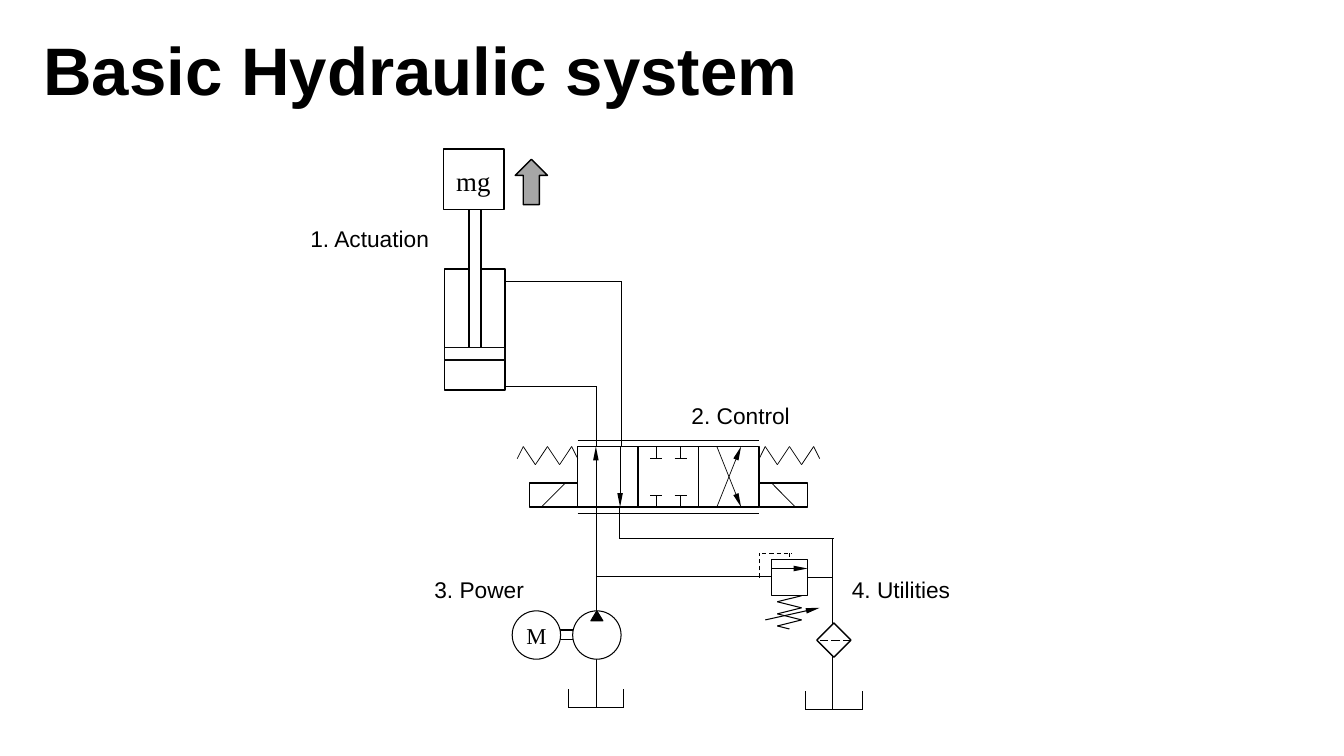
from dataclasses import dataclass
from itertools import pairwise

from lxml import etree
from pptx import Presentation
from pptx import util as u
from pptx.dml.color import RGBColor
from pptx.enum import dml, shapes, text
from pptx.oxml import ns

BLACK = RGBColor(0x00, 0x00, 0x00)
PISTON_EDGE = RGBColor(0x09, 0x09, 0x09)
WHITE = RGBColor(0xFF, 0xFF, 0xFF)
GRAY = RGBColor(0xA6, 0xA6, 0xA6)
CM_PER_INCH = 2.54
SANS = "Arial"
SERIF = "Times New Roman"
KIND = shapes.MSO_SHAPE
DASH = dml.MSO_LINE.DASH
LONG_DASH = dml.MSO_LINE.LONG_DASH


@dataclass
class Box:
    left: float
    top: float
    width: float
    height: float
    kind: KIND = KIND.RECTANGLE
    fill: RGBColor | None = WHITE
    edge: RGBColor = BLACK
    weight: float = 1
    rotation: float = 0
    caption: str = ""


@dataclass
class Pipe:
    points: list[tuple[float, float]]
    weight: float = 0.5
    arrow: bool = False
    dash: dml.MSO_LINE | None = None


@dataclass
class Label:
    wording: str
    left: float
    top: float
    width: float
    height: float = 0.37
    font: str = SANS
    size: float = 16.2
    align: text.PP_ALIGN = text.PP_ALIGN.LEFT


Part = Box | Pipe | Label


def length(inches: float) -> u.Length:
    return u.Cm(inches * CM_PER_INCH)


def write(frame, wording: str, font: str, size: float, align, bold: bool = False) -> None:
    frame.text = wording
    paragraph = frame.paragraphs[0]
    paragraph.alignment = align
    for run in paragraph.runs:
        run.font.name = font
        run.font.size = u.Pt(size)
        run.font.bold = bold
        run.font.color.rgb = BLACK


def draw_box(slide, box: Box) -> None:
    shape = slide.shapes.add_shape(
        box.kind, *map(length, (box.left, box.top, box.width, box.height)))
    shape.shadow.inherit = False
    shape.rotation = box.rotation
    if box.fill is None:
        shape.fill.background()
    else:
        shape.fill.solid()
        shape.fill.fore_color.rgb = box.fill
    shape.line.color.rgb = box.edge
    shape.line.width = u.Pt(box.weight)
    if box.caption:
        shape.text_frame.word_wrap = False
        write(shape.text_frame, box.caption, SERIF, 16.2, text.PP_ALIGN.CENTER)


def draw_pipe(slide, pipe: Pipe) -> None:
    for start, end in pairwise(pipe.points):
        connector = slide.shapes.add_connector(
            shapes.MSO_CONNECTOR.STRAIGHT, *map(length, (*start, *end)))
        connector.line.color.rgb = BLACK
        connector.line.width = u.Pt(pipe.weight)
        if pipe.dash is not None:
            connector.line.dash_style = pipe.dash
        if pipe.arrow:
            etree.SubElement(connector.line._get_or_add_ln(), ns.qn("a:tailEnd"),
                             type="triangle", w="sm", len="lg")
        etree.SubElement(connector._element.spPr, ns.qn("a:effectLst"))


def draw_label(slide, label: Label) -> None:
    shape = slide.shapes.add_textbox(
        *map(length, (label.left, label.top, label.width, label.height)))
    shape.text_frame.word_wrap = False
    write(shape.text_frame, label.wording, label.font, label.size, label.align)


def draw(slide, parts: list[Part]) -> None:
    painters = {Box: draw_box, Pipe: draw_pipe, Label: draw_label}
    for part in parts:
        painters[type(part)](slide, part)


def tank(left: float, right: float, floor: float) -> Pipe:
    rim = floor - 0.18
    return Pipe([(left, rim), (left, floor), (right, floor), (right, rim)])


def actuation() -> list[Part]:
    return [
        Box(4.41, 2.67, 0.6, 1.2, fill=None),
        Box(4.65, 2.07, 0.12, 1.38),
        Box(4.4, 1.48, 0.6, 0.6),
        Box(5.11, 1.58, 0.32, 0.45, KIND.UP_ARROW, GRAY),
        Box(4.41, 3.45, 0.6, 0.12, edge=PISTON_EDGE),
        Label("mg", 4.42, 1.58, 0.55, 0.42, SERIF, 19.2, text.PP_ALIGN.CENTER),
        Label("1. Actuation", 2.98, 2.18, 1.39),
    ]


def control() -> list[Part]:
    left, top, cell = 5.73, 4.43, 0.6
    right, bottom = left + 3 * cell, top + cell
    parts: list[Part] = [
        Pipe([(5.91, top), (5.91, 3.83), (5.02, 3.83)]),
        Pipe([(6.16, top), (6.16, 2.79), (5.01, 2.79)]),
    ]
    parts += [Box(left + i * cell, top, cell, cell) for i in range(3)]
    parts += [Pipe([(left, y), (right, y)]) for y in (top - 0.06, bottom + 0.06)]
    flows = [((5.91, bottom), (5.91, top)), ((6.15, top), (6.15, bottom)),
             ((7.11, top), (7.35, bottom)), ((7.11, bottom), (7.35, top))]
    parts += [Pipe([start, end], arrow=True) for start, end in flows]
    for x in (6.51, 6.75):
        for edge, stop in ((top, top + 0.12), (bottom, bottom - 0.12)):
            parts.append(Pipe([(x, edge), (x, stop)]))
            parts.append(Pipe([(x - 0.06, stop), (x + 0.06, stop)]))
    for solenoid, slash_top, slash_bottom in ((left - 0.48, 5.61, 5.37), (right, 7.65, 7.89)):
        parts.append(Box(solenoid, 4.79, 0.48, 0.24))
        parts.append(Pipe([(slash_top, 4.79), (slash_bottom, bottom)]))
    for spring in (left - cell, right):
        peaks = [(spring + 0.06 + 0.12 * i, 4.61 if i % 2 else top) for i in range(5)]
        parts.append(Pipe([(spring, 4.55), *peaks, (spring + cell, 4.55)]))
    parts.append(Label("2. Control", 6.76, 3.94, 1.19))
    return parts


def power() -> list[Part]:
    return [
        Box(5.54, 6.25, 0.15, 0.09, weight=0.75),
        Pipe([(5.92, 5.04), (5.92, 7.02)]),
        Box(5.68, 6.06, 0.48, 0.48, KIND.OVAL, weight=0.75),
        Box(5.86, 6.06, 0.12, 0.1, KIND.ISOSCELES_TRIANGLE, BLACK, weight=0.75),
        tank(5.64, 6.18, 7.02),
        Box(5.08, 6.06, 0.48, 0.48, KIND.OVAL, weight=0.75, caption="M"),
        Label("3. Power", 4.21, 5.66, 1.1),
    ]


def utilities() -> list[Part]:
    coil = [(7.71 if i % 2 else 7.95, 5.91 + 0.06 * i) for i in range(6)]
    return [
        Pipe([(8.26, 5.34), (8.26, 7.04)]),
        Box(7.65, 5.55, 0.36, 0.36),
        Pipe([(7.65, 5.64), (8.01, 5.64)], 0.75, arrow=True),
        Pipe([(7.53, 5.73), (7.53, 5.49)], 0.75, dash=DASH),
        Pipe([(7.56, 5.49), (7.86, 5.49)], 0.75, dash=DASH),
        Pipe([(7.83, 5.49), (7.83, 5.55)], 0.75, dash=DASH),
        Pipe([*coil, (7.83, 6.24)], 0.75),
        Pipe([(7.59, 6.15), (8.13, 6.03)], 0.75, arrow=True),
        Pipe([(8.01, 5.73), (8.26, 5.73)]),
        tank(7.99, 8.55, 7.04),
        Pipe([(5.91, 5.72), (7.65, 5.72)]),
        Pipe([(6.14, 5.04), (6.14, 5.34), (8.27, 5.34)]),
        Box(8.15, 6.23, 0.24, 0.24, rotation=135),
        Pipe([(8.44, 6.35), (8.1, 6.35)], 0.75, dash=LONG_DASH),
        Label("4. Utilities", 8.35, 5.66, 1.19),
    ]


def add_title(slide) -> None:
    title = slide.shapes.title
    title.left, title.top, title.width, title.height = map(length, (0.43, 0.28, 12.38, 1.39))
    frame = title.text_frame
    frame.margin_left = frame.margin_top = frame.margin_right = frame.margin_bottom = 0
    frame.vertical_anchor = text.MSO_ANCHOR.TOP
    frame.auto_size = text.MSO_AUTO_SIZE.NONE
    write(frame, "Basic Hydraulic system", SANS, 48, text.PP_ALIGN.LEFT, bold=True)


def main() -> None:
    presentation = Presentation()
    presentation.slide_width, presentation.slide_height = length(13.33), length(7.5)
    slide = presentation.slides.add_slide(presentation.slide_layouts[5])
    add_title(slide)
    draw(slide, actuation() + control() + power() + utilities())
    presentation.save("out.pptx")


if __name__ == "__main__":
    main()
